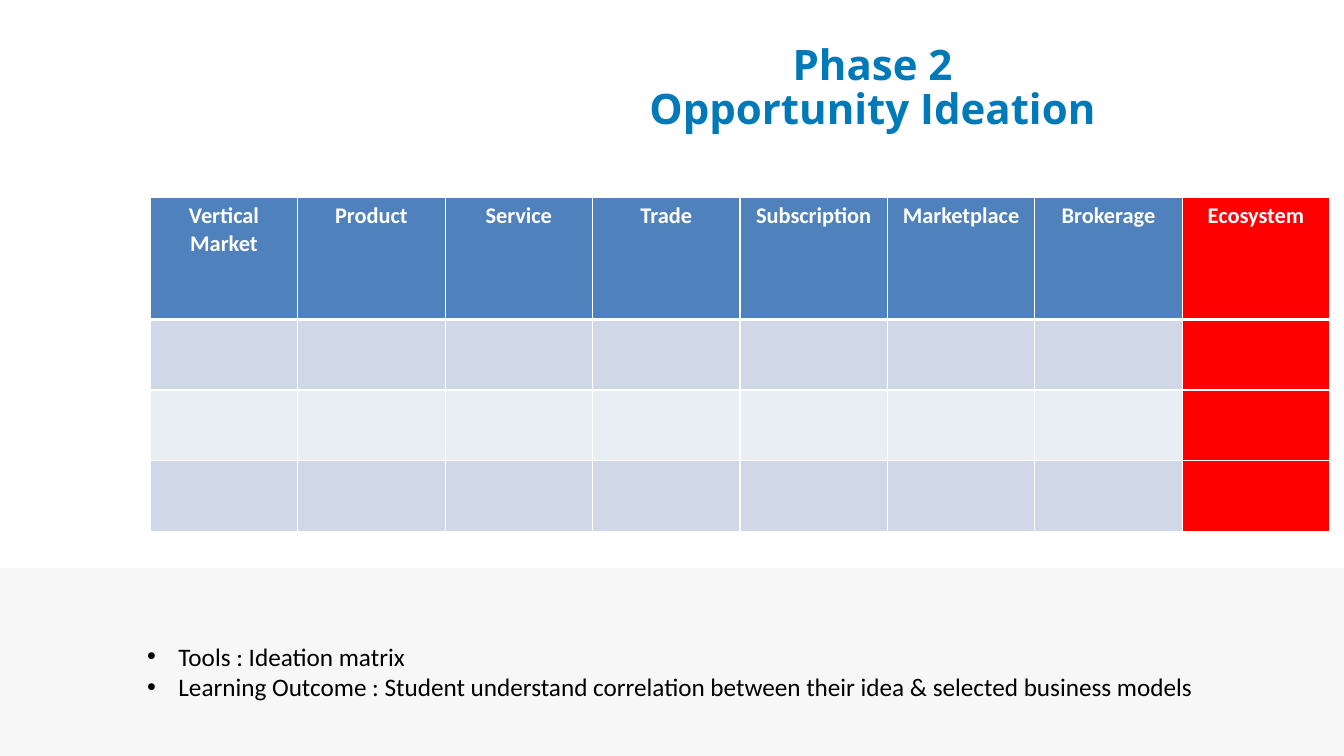
from lxml import etree
from pptx import Presentation
from pptx.dml.color import RGBColor
from pptx.enum import shapes, text
from pptx.oxml import ns
from pptx.util import Inches, Pt

WHITE = RGBColor(0xFF, 0xFF, 0xFF)
BLACK = RGBColor(0x00, 0x00, 0x00)
BAND_GREY = RGBColor(0xF7, 0xF7, 0xF7)
TITLE_BLUE = RGBColor(0x00, 0x79, 0xB8)
HEADER_BLUE = RGBColor(0x4F, 0x81, 0xBD)
ROW_DARK = RGBColor(0xD0, 0xD8, 0xE8)
ROW_LIGHT = RGBColor(0xE9, 0xED, 0xF4)
RED = RGBColor(0xFF, 0x00, 0x00)

MODELS = ["Vertical Market", "Product", "Service", "Trade",
          "Subscription", "Marketplace", "Brokerage", "Ecosystem"]
ROW_HEIGHTS = [1.21, 0.7, 0.7, 0.7]
ROW_FILLS = [HEADER_BLUE, ROW_DARK, ROW_LIGHT, ROW_DARK]
NOTES = ["Tools : Ideation matrix",
         "Learning Outcome : Student understand correlation between "
         "their idea & selected business models"]


def set_font(paragraph, color, **formats):
    """Apply font values and a colour to a paragraph."""
    for key, value in formats.items():
        setattr(paragraph.font, key, value)
    paragraph.font.color.rgb = color


def place(shape, box):
    """Move a shape to a box given in inches."""
    for key, value in zip(("left", "top", "width", "height"), box):
        setattr(shape, key, Inches(value))


def add_band(slide, box):
    """Put the grey footer band behind everything else."""
    band = slide.shapes.add_shape(shapes.MSO_SHAPE.RECTANGLE, *map(Inches, box))
    band.shadow.inherit = False
    band.fill.solid()
    band.fill.fore_color.rgb = BAND_GREY
    band.line.fill.background()
    slide.shapes._spTree.insert(2, band._element)


def add_heading(slide, box):
    """Fill the title placeholder with the phase name."""
    heading = slide.shapes.title
    place(heading, box)
    frame = heading.text_frame
    frame.text = "Phase 2\vOpportunity Ideation"
    frame.vertical_anchor = text.MSO_ANCHOR.MIDDLE
    frame.auto_size = text.MSO_AUTO_SIZE.NONE
    phase = frame.paragraphs[0]
    phase.alignment = text.PP_ALIGN.CENTER
    phase.line_spacing = 0.88
    set_font(phase, TITLE_BLUE, name="Open Sans", size=Pt(30), bold=True)


def add_borders(cell, widths):
    """Draw white cell borders with widths in points by side."""
    properties = cell._tc.get_or_add_tcPr()
    for side, width in widths.items():
        line = etree.SubElement(properties, ns.qn(f"a:ln{side}"), w=str(Pt(width)))
        solid = etree.SubElement(line, ns.qn("a:solidFill"))
        etree.SubElement(solid, ns.qn("a:srgbClr"), val=str(WHITE))


def add_matrix(slide, box):
    """Build the ideation matrix with its red last column."""
    matrix = slide.shapes.add_table(
        len(ROW_HEIGHTS), len(MODELS), *map(Inches, box)).table
    for column in matrix.columns:
        column.width = Inches(box[2] / len(MODELS))
    for r, (height, row_fill) in enumerate(zip(ROW_HEIGHTS, ROW_FILLS)):
        matrix.rows[r].height = Inches(height)
        for c, model in enumerate(MODELS):
            cell = matrix.cell(r, c)
            add_borders(cell, {"L": 1, "R": 1, "T": 3 if r == 1 else 1,
                               "B": 3 if r == 0 else 1})
            cell.fill.solid()
            cell.fill.fore_color.rgb = RED if model == MODELS[-1] else row_fill
            if r == 0:
                cell.text = model
                label = cell.text_frame.paragraphs[0]
                label.alignment = text.PP_ALIGN.CENTER
                set_font(label, WHITE, name="Calibri", size=Pt(16), bold=True)


def add_notes(slide, box):
    """Fill the body placeholder with the bulleted tools and outcome."""
    body = slide.placeholders[1]
    place(body, box)
    frame = body.text_frame
    frame.text = "\n".join(NOTES)
    frame.vertical_anchor = text.MSO_ANCHOR.TOP
    frame.auto_size = text.MSO_AUTO_SIZE.NONE
    for note in frame.paragraphs:
        note.space_before = Pt(0)
        properties = note._p.get_or_add_pPr()
        properties.set("marL", str(Inches(0.31)))
        properties.set("indent", str(Inches(-0.31)))
        etree.SubElement(properties, ns.qn("a:buFont"), typeface="Arial")
        etree.SubElement(properties, ns.qn("a:buChar"), char="•")
        set_font(note, BLACK, name="Calibri", size=Pt(18))


def main():
    """Build the slide and save it."""
    deck = Presentation()
    deck.slide_width, deck.slide_height = Inches(13.33), Inches(7.5)
    slide = deck.slides.add_slide(deck.slide_layouts[1])
    add_band(slide, (0, 5.64, 13.33, 1.86))
    add_heading(slide, (4.66, 0.33, 7.99, 1.11))
    add_notes(slide, (1.36, 6.31, 11.16, 1.31))
    add_matrix(slide, (1.49, 1.96, 11.7, sum(ROW_HEIGHTS)))
    deck.save("out.pptx")


if __name__ == "__main__":
    main()
